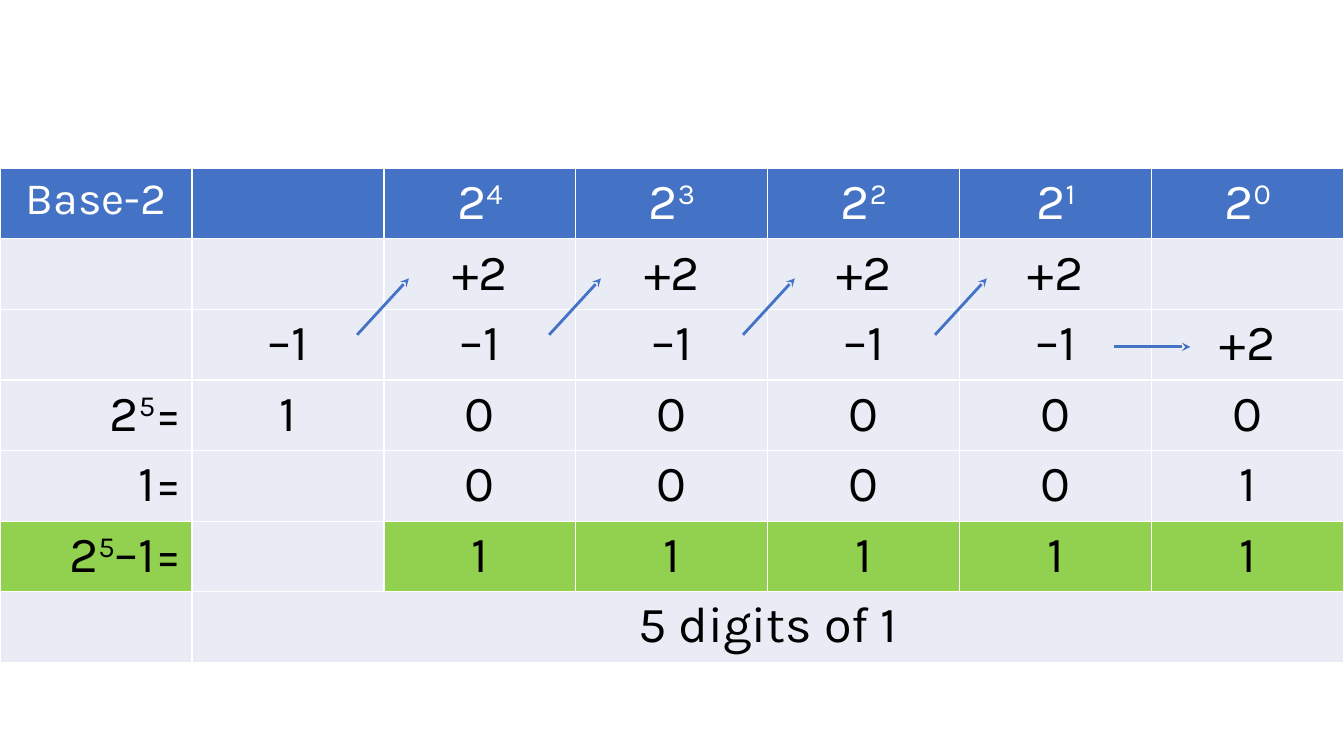
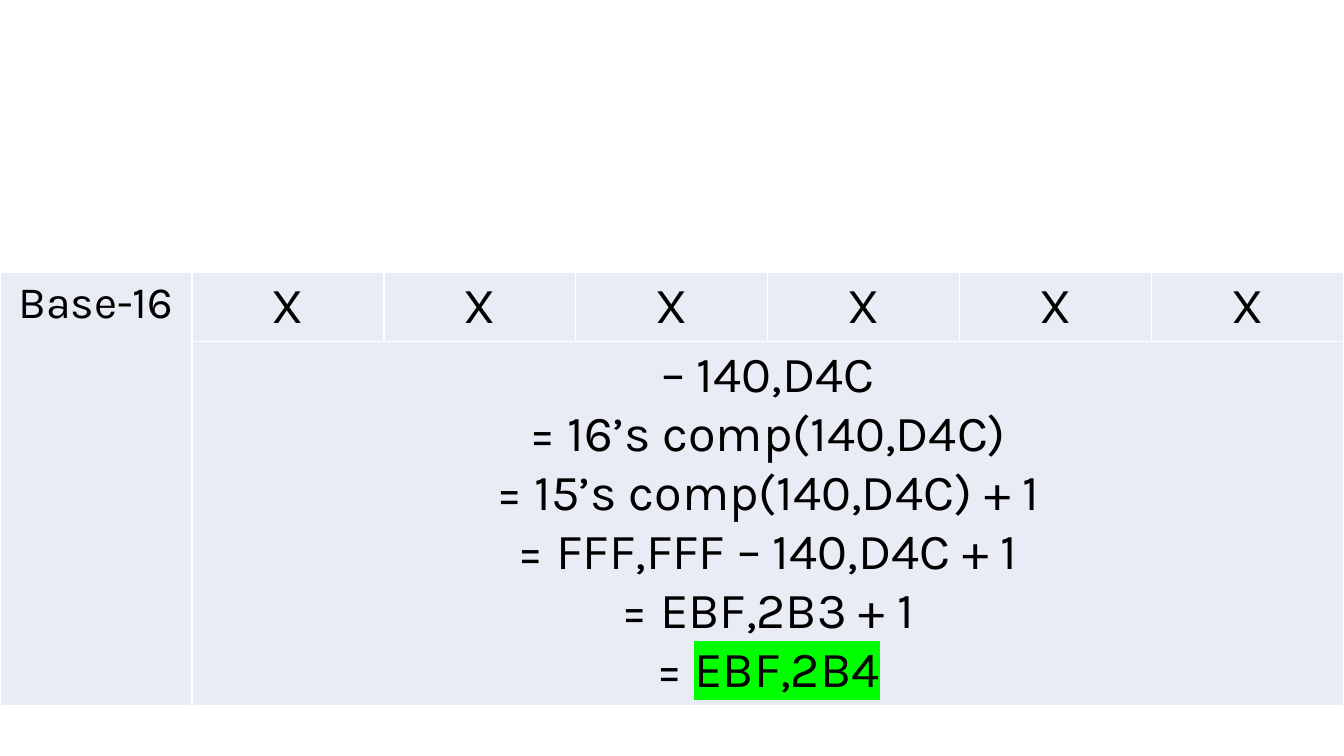
from dataclasses import dataclass

from lxml.etree import SubElement
from pptx import Presentation
from pptx.dml.color import RGBColor as Color
from pptx.enum.shapes import MSO_CONNECTOR as Connector
from pptx.enum.text import PP_ALIGN as Align
from pptx.oxml import parse_xml
from pptx.oxml.ns import nsdecls, qn
from pptx.util import Inches, Pt


@dataclass(frozen=True)
class Theme:
    font: str = "Karla"
    blue: str = "4472C4"
    pale: str = "E9EBF5"
    green: str = "92D050"
    marker: str = "00FF00"
    white: str = "FFFFFF"
    black: str = "000000"
    label_size: int = 32
    body_size: int = 36
    rule: int = 1
    arrow: int = 2


theme = Theme()
COLUMNS = 7
WIDTH, HEIGHT = Inches(13.33), Inches(7.5)
COLUMN = WIDTH / COLUMNS
ROW = Inches(0.7)


def write_cell(cell, text, fill, color=theme.black, size=theme.body_size, align=Align.CENTER):
    """Fill one cell; runs are split by |, with ^ for superscript and # for highlight."""
    cell.fill.solid()
    cell.fill.fore_color.rgb = Color.from_string(fill)
    properties = cell._tc.get_or_add_tcPr()
    for position, side in enumerate("LRTB"):
        properties.insert(position, parse_xml(
            f'<a:ln{side} {nsdecls("a")} w="{Pt(theme.rule)}"><a:solidFill>'
            f'<a:srgbClr val="{theme.white}"/></a:solidFill></a:ln{side}>'))
    if not text:
        return
    for number, line in enumerate(text.split("\n")):
        frame = cell.text_frame
        para = frame.add_paragraph() if number else frame.paragraphs[0]
        para.alignment = align
        for piece in line.split("|"):
            span = para.add_run()
            span.text = piece.lstrip("^#")
            for name, value in {"name": theme.font, "size": Pt(size)}.items():
                setattr(span.font, name, value)
            span.font.color.rgb = Color.from_string(color)
            if piece.startswith("^"):
                span.font._element.set("baseline", "30000")
            if piece.startswith("#"):
                span.font._element.find(qn("a:solidFill")).addnext(parse_xml(
                    f'<a:highlight {nsdecls("a")}><a:srgbClr val="{theme.marker}"/></a:highlight>'))


def add_grid(page, top, heights):
    """Add a full-width table with equal columns and no built-in banding."""
    table = page.shapes.add_table(len(heights), COLUMNS, 0, top, WIDTH, sum(heights)).table
    for name in ("first_row", "horz_banding"):
        setattr(table, name, False)
    for column in table.columns:
        column.width = int(COLUMN)
    for row, height in zip(table.rows, heights):
        row.height = height
    return table


deck = Presentation()
deck.slide_width, deck.slide_height = WIDTH, HEIGHT
blank = deck.slide_layouts[6]

# Slide 1: subtracting one from a power of two
page = deck.slides.add_slide(blank)
binary_rows = [
    ["Base-2", ""] + [f"2|^{power}" for power in range(4, -1, -1)],
    ["", ""] + ["+2"] * 4 + [""],
    [""] + ["–1"] * 5 + ["+2"],
    ["2|^5|=", "1"] + ["0"] * 5,
    ["1=", ""] + ["0"] * 4 + ["1"],
    ["2|^5|–1=", ""] + ["1"] * 5,
    ["", "5 digits of 1"] + [""] * 5,
]
HEADER, RESULT, SUMMARY = 0, 5, 6
top = Inches(1.67)
table = add_grid(page, top, [ROW] * len(binary_rows))
for row, texts in enumerate(binary_rows):
    for column, text in enumerate(texts):
        fill, color, size, align = theme.pale, theme.black, theme.body_size, Align.CENTER
        if row == HEADER:
            fill, color = theme.blue, theme.white
            size = theme.body_size if column else theme.label_size
        elif column == 0:
            align = Align.RIGHT
        if row == RESULT and column != 1:
            fill = theme.green
        write_cell(table.cell(row, column), text, fill, color, size, align)
table.cell(SUMMARY, 1).merge(table.cell(SUMMARY, COLUMNS - 1))

# Borrow arrows, in columns and rows of the table
borrows = [(start, 2.36, start + 0.27, 1.56) for start in (1.86, 2.86, 3.87, 4.87)]
borrows.append((5.8, 2.53, 6.2, 2.53))
for x1, y1, x2, y2 in borrows:
    arrow = page.shapes.add_connector(
        Connector.STRAIGHT, int(x1 * COLUMN), int(top + y1 * ROW),
        int(x2 * COLUMN), int(top + y2 * ROW))
    arrow.line.color.rgb = Color.from_string(theme.blue)
    arrow.line.width = Pt(theme.arrow)
    SubElement(arrow.line._get_or_add_ln(), qn("a:tailEnd"), type="stealth")
    SubElement(arrow._element.spPr, qn("a:effectLst"))

# Slide 2: sixteen's complement
page = deck.slides.add_slide(blank)
steps = "\n".join([
    "– 140,D4C",
    "= 16’s comp(140,D4C)",
    "= 15’s comp(140,D4C) + 1",
    "= FFF,FFF – 140,D4C + 1",
    "= EBF,2B3 + 1",
    "= |#EBF,2B4",
])
hex_rows = [["Base-16"] + ["X"] * 6, ["", steps] + [""] * 5]
table = add_grid(page, Inches(2.7), [Inches(0.68), Inches(3.61)])
for row, texts in enumerate(hex_rows):
    for column, text in enumerate(texts):
        size = theme.body_size if column else theme.label_size
        write_cell(table.cell(row, column), text, theme.pale, size=size)
table.cell(0, 0).merge(table.cell(1, 0))
table.cell(1, 1).merge(table.cell(1, COLUMNS - 1))

deck.save("out.pptx")
